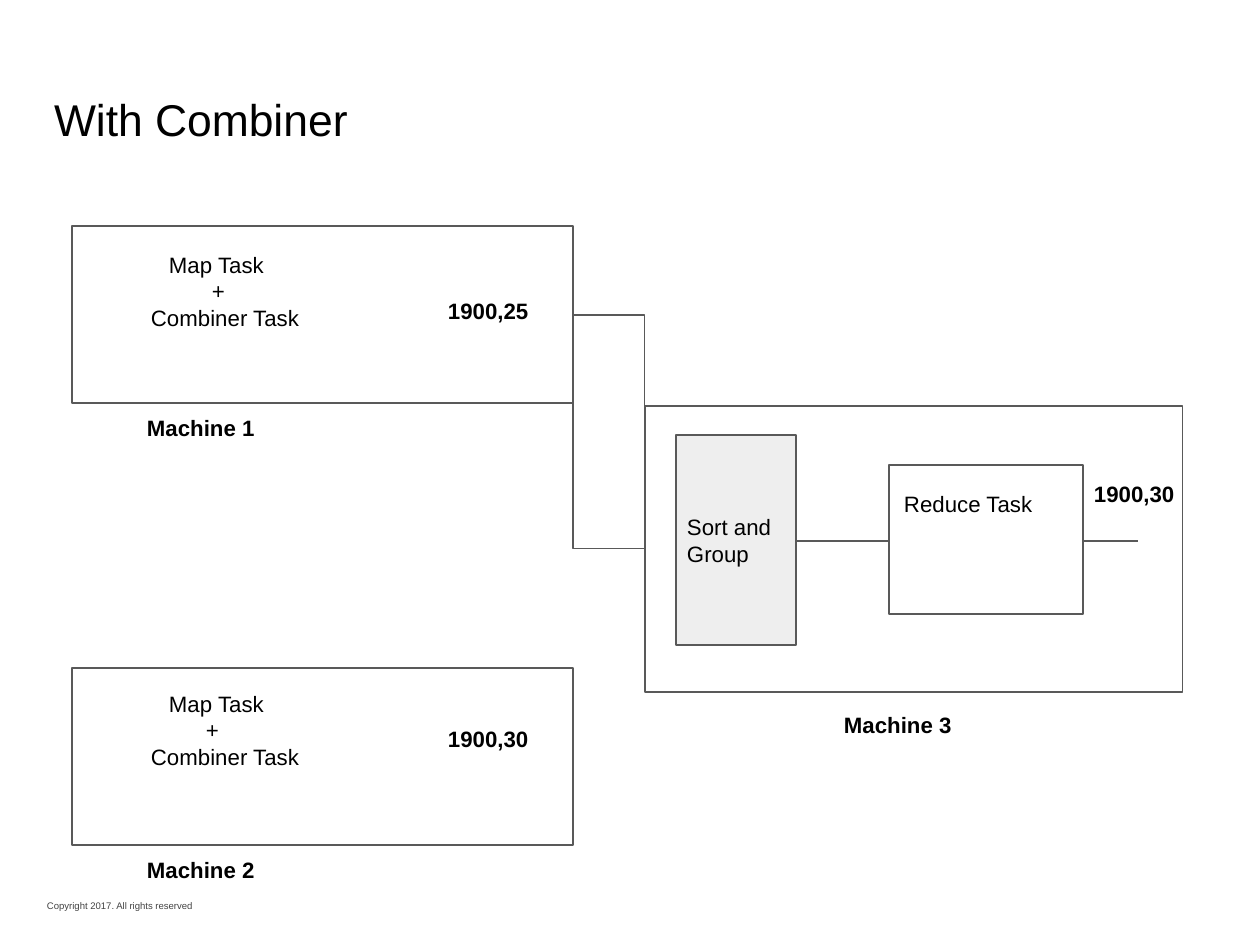
from lxml import etree
from pptx import Presentation
from pptx.dml.color import RGBColor
from pptx.enum.shapes import MSO_CONNECTOR, MSO_SHAPE
from pptx.enum.text import MSO_ANCHOR, PP_ALIGN
from pptx.oxml.ns import qn
from pptx.util import Pt

RECTANGLE = MSO_SHAPE.RECTANGLE
STRAIGHT = MSO_CONNECTOR.STRAIGHT
TOP, MIDDLE = MSO_ANCHOR.TOP, MSO_ANCHOR.MIDDLE
LEFT = PP_ALIGN.LEFT
PX = 8000  # EMU; the slide is 28 by 21 cm
BLACK, GRAY, LIGHT = "000000", "595959", "EEEEEE"

deck = Presentation()
deck.slide_width, deck.slide_height = 1260 * PX, 945 * PX
page = deck.slides.add_slide(deck.slide_layouts[6])


def add_frame(left, top, width, height, fill=None):
    frame = page.shapes.add_shape(RECTANGLE, left * PX, top * PX, width * PX, height * PX)
    frame.shadow.inherit = False
    if fill:
        frame.fill.solid()
        frame.fill.fore_color.rgb = RGBColor.from_string(fill)
    else:
        frame.fill.background()
    frame.line.color.rgb = RGBColor.from_string(GRAY)
    frame.line.width = Pt(0.75)
    return frame


def write(box, text, size=14, bold=False, color=BLACK, anchor=TOP, indents=(0,)):
    """Fill a box with left-aligned lines, one indent in px for each line."""
    text_frame = box.text_frame
    text_frame.text = text
    text_frame.word_wrap = True
    text_frame.vertical_anchor = anchor
    text_frame.margin_left = text_frame.margin_right = 11 * PX
    text_frame.margin_top = text_frame.margin_bottom = 11 * PX
    for para, indent in zip(text_frame.paragraphs, indents):
        para.alignment = LEFT
        para._p.get_or_add_pPr().set("marL", str(indent * PX))
        for span in para.runs:
            span.font.name = "Arial"
            span.font.size = Pt(size)
            span.font.bold = bold
            span.font.color.rgb = RGBColor.from_string(color)


# Machines, their tasks and the link from the mappers to the reducer
for machine in [(72, 226, 501, 177), (72, 668, 501, 177), (645, 406, 538, 286)]:
    add_frame(*machine)
write(add_frame(676, 435, 120, 210, LIGHT), "Sort and Group", anchor=MIDDLE)
add_frame(889, 465, 194, 149)
add_frame(573, 315, 72, 234)

for start, end in [(796, 889), (1083, 1138)]:
    link = page.shapes.add_connector(STRAIGHT, start * PX, 541 * PX, end * PX, 541 * PX)
    link.line.color.rgb = RGBColor.from_string(GRAY)
    link.line.width = Pt(0.75)
    etree.SubElement(link._element.spPr, qn("a:effectLst"))

map_task = "Map Task\n+\nCombiner Task"
labels = [
    ((36, 889, 309, 34), "Copyright 2017. All rights reserved",
     {"size": 6, "color": "434343", "anchor": MIDDLE}),
    ((43, 81, 1174, 105), "With Combiner", {"size": 28}),
    ((121, 240, 214, 127), map_task, {"indents": (37, 80, 19)}),
    ((121, 679, 214, 127), map_task, {"indents": (37, 74, 19)}),
    ((893, 479, 176, 85), "Reduce Task", {}),
    ((136, 403, 163, 85), "Machine 1", {"bold": True}),
    ((136, 845, 163, 85), "Machine 2", {"bold": True}),
    ((833, 700, 163, 85), "Machine 3", {"bold": True}),
    ((437, 286, 120, 78), "1900,25", {"bold": True}),
    ((437, 714, 120, 78), "1900,30", {"bold": True}),
    ((1083, 469, 134, 58), "1900,30", {"bold": True}),
]
for place, text, style in labels:
    box = page.shapes.add_textbox(*(length * PX for length in place))
    write(box, text, **style)

deck.save("out.pptx")
